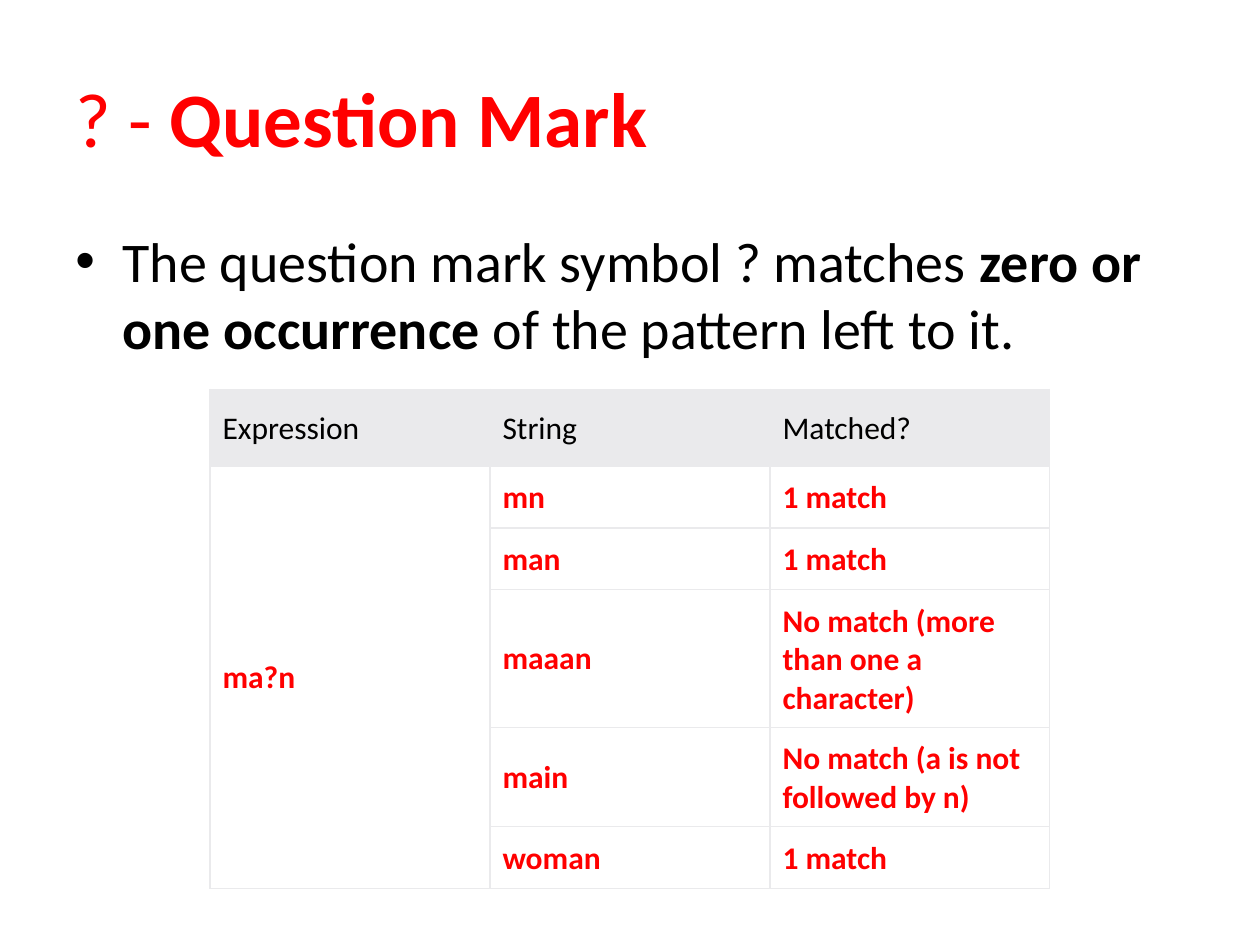
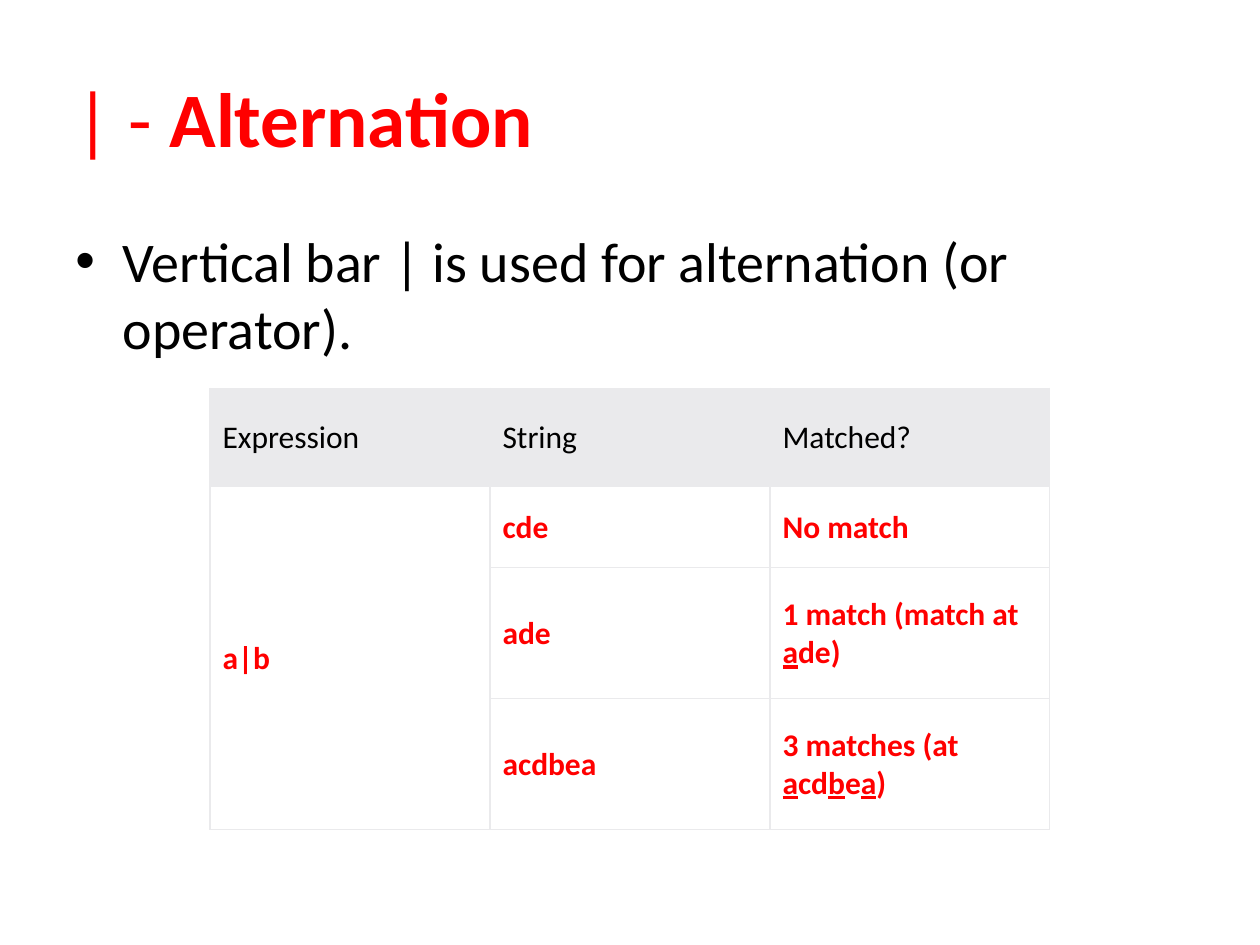
from lxml import etree
from pptx import Presentation
from pptx.dml.color import RGBColor
from pptx.enum.text import MSO_ANCHOR, PP_ALIGN
from pptx.oxml.ns import qn
from pptx.util import Pt

LEFT, MIDDLE = PP_ALIGN.LEFT, MSO_ANCHOR.MIDDLE

FONT = "Calibri"
RED, BLACK, WHITE, GREY = "FF0000", "000000", "FFFFFF", "EAEAEC"
TITLE_ONLY = 5

TITLE_BOX = (36, 21.6, 648, 90)
TABLE_LEFT, COLUMN_WIDTH = 120, 160
BORDER_WIDTH = 0.75
INDENT = 27
HEADER_MARGINS = (7.2, 11.5, 5.8, 10.8)  # left, top, right, bottom
ENTRY_MARGINS = (7.2, 7.2, 5.8, 6.5)
HEADER = ("Expression", "String", "Matched?")

# Text between underscores is emphasised: bold in titles and statements,
# underlined in table cells.
TOPICS = [
    {
        "title": "? - _Question Mark_",
        "statement": "The question mark symbol ? matches "
                     "_zero or one occurrence_ of the pattern left to it.",
        "statement_box": (36, 126, 648, 90),
        "expression": "ma?n",
        "matches": [
            ("mn", "1 match"),
            ("man", "1 match"),
            ("maaan", "No match (more than one a character)"),
            ("main", "No match (a is not followed by n)"),
            ("woman", "1 match"),
        ],
        "table_top": 222.5,
        "row_heights": (40, 33, 33, 73, 52.5, 33),
    },
    {
        "title": "| - _Alternation_",
        "statement": "Vertical bar | is used for alternation (or operator).",
        "statement_box": (36, 126, 630, 84),
        "expression": "a|b",
        "matches": [
            ("cde", "No match"),
            ("ade", "1 match (match at _a_de)"),
            ("acdbea", "3 matches (at _a_cd_b_e_a_)"),
        ],
        "table_top": 222,
        "row_heights": (56, 46.5, 74.5, 75),
    },
]


def rgb(hex_colour):
    return RGBColor.from_string(hex_colour)


def write(paragraph, marked_text, size, colour, bold=False, underline_marked=False):
    """Write text as runs, emphasising the pieces between underscores."""
    for index, piece in enumerate(marked_text.split("_")):
        if not piece:
            continue
        marked = index % 2 == 1
        run = paragraph.add_run()
        run.text = piece
        run.font.name = FONT
        run.font.size = Pt(size)
        run.font.color.rgb = rgb(colour)
        run.font.bold = bold or (marked and not underline_marked)
        run.font.underline = marked and underline_marked


def add_title(slide, text):
    title = slide.shapes.title
    title.left, title.top, title.width, title.height = map(Pt, TITLE_BOX)
    title.text_frame.vertical_anchor = MIDDLE
    paragraph = title.text_frame.paragraphs[0]
    paragraph.alignment = LEFT
    write(paragraph, text, 44, RED)


def add_statement(slide, text, box):
    frame = slide.shapes.add_textbox(*map(Pt, box)).text_frame
    frame.word_wrap = True
    paragraph = frame.paragraphs[0]
    properties = paragraph._p.get_or_add_pPr()
    properties.set("marL", str(Pt(INDENT)))
    properties.set("indent", str(-Pt(INDENT)))
    etree.SubElement(properties, qn("a:buFont"), typeface="Arial")
    etree.SubElement(properties, qn("a:buChar"), char="•")
    write(paragraph, text, 32, BLACK)


def add_borders(cell):
    properties = cell._tc.get_or_add_tcPr()
    for side in ("lnL", "lnR", "lnT", "lnB"):
        line = etree.SubElement(properties, qn(f"a:{side}"), w=str(Pt(BORDER_WIDTH)))
        fill = etree.SubElement(line, qn("a:solidFill"))
        etree.SubElement(fill, qn("a:srgbClr"), val=GREY)


def format_cell(cell, text, is_header):
    add_borders(cell)
    cell.fill.solid()
    cell.fill.fore_color.rgb = rgb(GREY if is_header else WHITE)
    margins = HEADER_MARGINS if is_header else ENTRY_MARGINS
    cell.margin_left, cell.margin_top, cell.margin_right, cell.margin_bottom = map(Pt, margins)
    cell.vertical_anchor = MIDDLE
    write(cell.text_frame.paragraphs[0], text, 18, BLACK if is_header else RED,
          bold=not is_header, underline_marked=True)


def add_match_table(slide, topic):
    rows = [HEADER]
    for index, match in enumerate(topic["matches"]):
        rows.append((topic["expression"] if index == 0 else "", *match))
    heights = topic["row_heights"]
    table = slide.shapes.add_table(
        len(rows), len(HEADER), Pt(TABLE_LEFT), Pt(topic["table_top"]),
        Pt(COLUMN_WIDTH * len(HEADER)), Pt(sum(heights))).table
    for column in table.columns:
        column.width = Pt(COLUMN_WIDTH)
    for row_index, (texts, height) in enumerate(zip(rows, heights)):
        table.rows[row_index].height = Pt(height)
        for column_index, text in enumerate(texts):
            format_cell(table.cell(row_index, column_index), text, row_index == 0)
    table.cell(1, 0).merge(table.cell(len(rows) - 1, 0))


def main():
    presentation = Presentation()
    presentation.slide_width, presentation.slide_height = Pt(720), Pt(540)
    for topic in TOPICS:
        slide = presentation.slides.add_slide(presentation.slide_layouts[TITLE_ONLY])
        add_title(slide, topic["title"])
        add_statement(slide, topic["statement"], topic["statement_box"])
        add_match_table(slide, topic)
    presentation.save("out.pptx")


if __name__ == "__main__":
    main()
